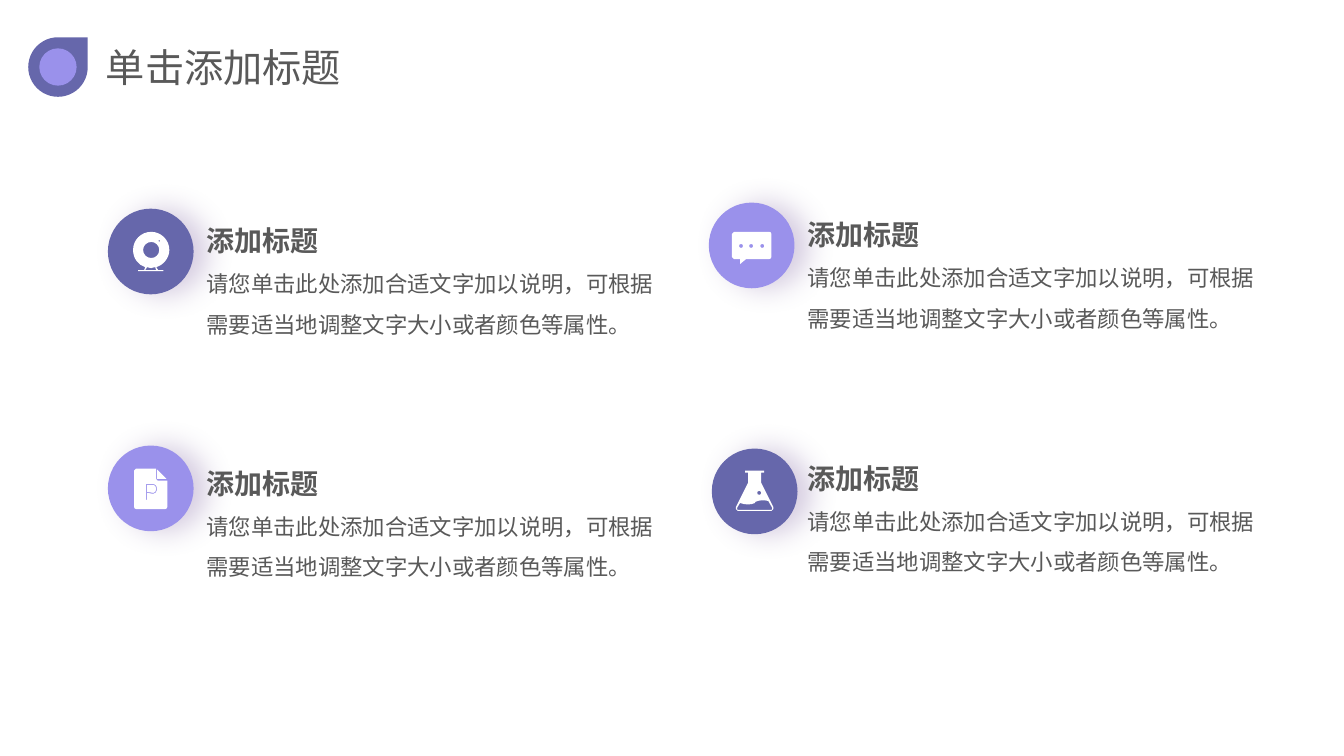
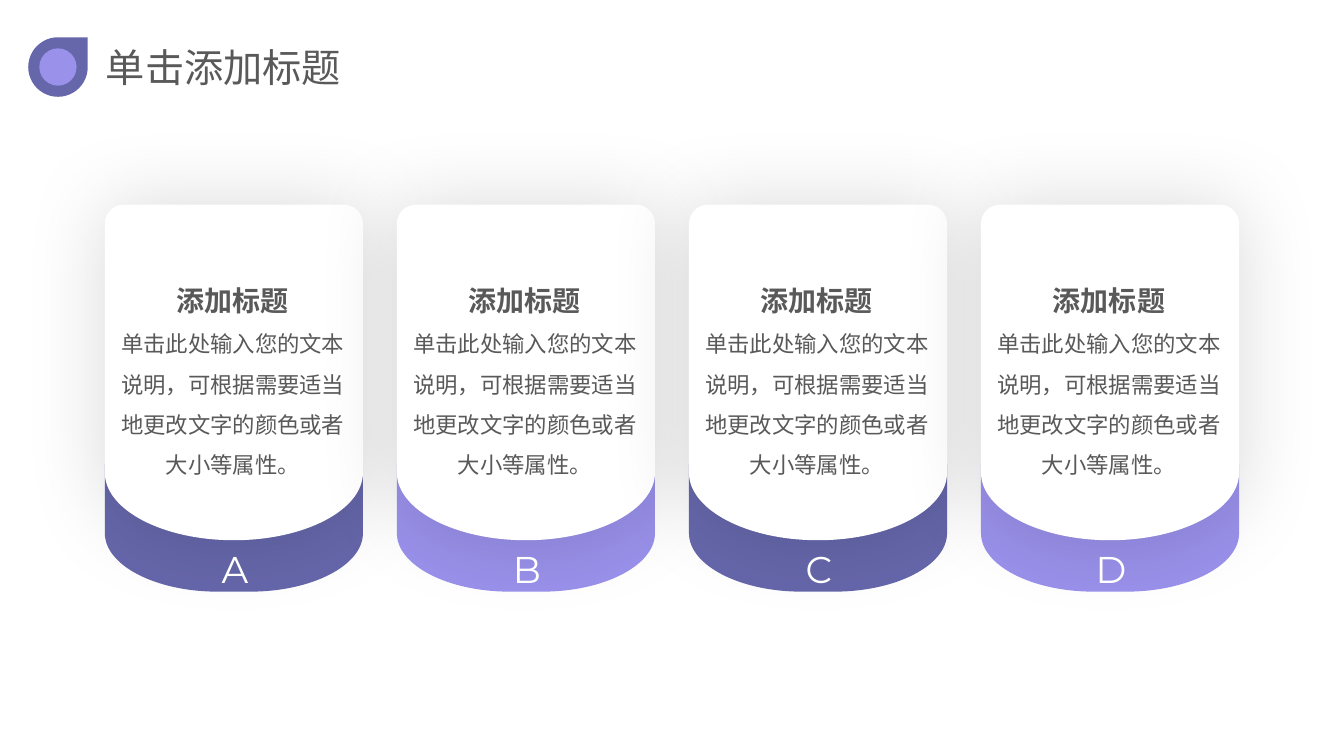
import dataclasses
import math

import lxml.etree
import pptx
import pptx.dml.color
import pptx.enum.shapes
import pptx.enum.text
import pptx.oxml.ns
import pptx.util

Inches = pptx.util.Inches
qn = pptx.oxml.ns.qn
PRESET = pptx.enum.shapes.MSO_SHAPE
ANCHOR = pptx.enum.text.MSO_ANCHOR
ALIGN = pptx.enum.text.PP_ALIGN


@dataclasses.dataclass(frozen=True)
class Theme:
    indigo: str = "6667AB"
    lilac: str = "9A91EB"
    white: str = "FFFFFF"
    ink: str = "595959"
    text_font: str = "Noto Sans CJK SC"
    letter_font: str = "Montserrat"
    title_size: float = 28
    letter_size: float = 26.6
    heading_size: float = 20
    body_size: float = 16
    line_spacing: float = 1.5
    disc_shadow: tuple = ("8064A2", 32, 20, 10)
    card_shadow: tuple = ("000000", 15, 60, 0)


theme = Theme()


def arc(cx, cy, rx, ry, start=0, end=360):
    quarters = round((end - start) / 90)
    bend = 0.55
    segments = []
    for quarter in range(quarters):
        angle = math.radians(start + 90 * quarter)
        c, s = math.cos(angle), math.sin(angle)
        unit = [(c, s), (c - bend * s, s + bend * c), (bend * c - s, bend * s + c), (-s, c)]
        first, *curve = [(cx + rx * x, cy + ry * y) for x, y in unit]
        if not segments:
            segments.append(first)
        segments.append(tuple(curve))
    return segments


def paint(shape, color, shadow=None):
    shape.fill.solid()
    shape.fill.fore_color.rgb = pptx.dml.color.RGBColor.from_string(color)
    shape.line.fill.background()
    shape.shadow.inherit = False
    if shadow:
        tint, opacity, blur, distance = shadow
        effects = shape._element.spPr.find(qn("a:effectLst"))
        outer = lxml.etree.SubElement(
            effects, qn("a:outerShdw"), blurRad=str(pptx.util.Pt(blur)),
            dist=str(pptx.util.Pt(distance)), dir="0", algn="ctr", rotWithShape="0")
        tone = lxml.etree.SubElement(outer, qn("a:srgbClr"), val=tint)
        lxml.etree.SubElement(tone, qn("a:alpha"), val=str(opacity * 1000))


deck = pptx.Presentation()
deck.slide_width, deck.slide_height = Inches(13.33), Inches(7.5)
title_only = deck.slide_layouts[5]
points_slide, cards_slide = [deck.slides.add_slide(title_only) for _ in range(2)]
styled_paragraphs = []

for slide in deck.slides:
    for preset, left, top, size, color in [
        (PRESET.TEAR, 0.28, 0.37, 0.59, theme.indigo),
        (PRESET.OVAL, 0.39, 0.48, 0.37, theme.lilac),
    ]:
        paint(slide.shapes.add_shape(
            preset, Inches(left), Inches(top), Inches(size), Inches(size)), color)
    title = slide.shapes.title
    title.left, title.top = Inches(0.95), Inches(0.38)
    title.width, title.height = Inches(2.79), Inches(0.57)
    title.text_frame.text = "单击添加标题"
    title.text_frame.vertical_anchor = ANCHOR.TOP
    title.text_frame.auto_size = pptx.enum.text.MSO_AUTO_SIZE.SHAPE_TO_FIT_TEXT
    heading = title.text_frame.paragraphs[0]
    heading.alignment = ALIGN.LEFT
    styled_paragraphs.append((heading, theme.title_size, False, theme.text_font, theme.ink))

webcam = [
    arc(1.5, 2.48, 0.18, 0.18, 270, 360)
    + [((1.68, 2.56), (1.62, 2.63), (1.55, 2.65)), (1.57, 2.68), (1.62, 2.68),
       (1.62, 2.69), (1.37, 2.69), (1.37, 2.68), (1.43, 2.68), (1.44, 2.65),
       ((1.37, 2.63), (1.32, 2.56), (1.32, 2.48)),
       ((1.32, 2.38), (1.4, 2.3), (1.5, 2.3))],
    [(1.46, 2.65), (1.44, 2.68), (1.55, 2.68), (1.54, 2.65),
     ((1.52, 2.65), (1.51, 2.66), (1.5, 2.66)), ((1.48, 2.66), (1.47, 2.65), (1.46, 2.65))],
    arc(1.5, 2.48, 0.08, 0.08),
    arc(1.58, 2.39, 0.01, 0.01),
]
chat = [
    arc(7.28, 2.32, 0.02, 0.02, 180, 270) + arc(7.63, 2.32, 0.02, 0.02, 270, 360)
    + arc(7.63, 2.55, 0.02, 0.02, 0, 90) + [(7.4, 2.57), (7.34, 2.62), (7.34, 2.57)]
    + arc(7.28, 2.55, 0.02, 0.02, 90, 180),
] + [arc(x, 2.44, 0.02, 0.02) for x in (7.35, 7.45, 7.56)]
document = [
    [(1.55, 4.65), (1.55, 4.75), ((1.55, 4.76), (1.56, 4.77), (1.57, 4.77)), (1.66, 4.77)]
    + arc(1.64, 5.03, 0.02, 0.02, 0, 90) + arc(1.35, 5.03, 0.02, 0.02, 90, 180)
    + arc(1.35, 4.67, 0.02, 0.02, 180, 270),
    [(1.45, 4.8)] + arc(1.52, 4.85, 0.04, 0.05, -90, 90)
    + [(1.46, 4.89), (1.46, 4.96), (1.45, 4.96)],
    [(1.46, 4.81)] + arc(1.52, 4.85, 0.03, 0.04, -90, 90) + [(1.46, 4.88)],
    [(1.56, 4.66), (1.65, 4.75), (1.56, 4.75)],
]
flask = [
    [(7.39, 4.67), (7.58, 4.67), (7.58, 4.69), (7.55, 4.69), (7.55, 4.77),
     ((7.55, 4.78), (7.55, 4.78), (7.55, 4.79)), (7.67, 5.03)]
    + arc(7.65, 5.05, 0.02, 0.02, 0, 90) + arc(7.32, 5.05, 0.02, 0.02, 90, 180)
    + [(7.3, 5.03), (7.42, 4.79), ((7.42, 4.78), (7.42, 4.78), (7.42, 4.77)),
       (7.42, 4.69), (7.39, 4.69)],
    [(7.49, 4.98), (7.49, 4.99), ((7.45, 5.01), (7.39, 5.01), (7.34, 4.99)), (7.31, 5.04),
     ((7.31, 5.05), (7.31, 5.06), (7.32, 5.06)), (7.65, 5.06),
     ((7.66, 5.06), (7.66, 5.05), (7.66, 5.04)), (7.62, 4.97),
     ((7.58, 4.96), (7.53, 4.96), (7.49, 4.98))],
    arc(7.53, 4.89, 0.02, 0.02),
]

point_text = [
    ("添加标题", theme.heading_size, True, theme.text_font, theme.ink),
    ("请您单击此处添加合适文字加以说明，可根据需要适当地调整文字大小或者颜色等属性。",
     theme.body_size, False, theme.text_font, theme.ink),
]
card_text = [
    point_text[0],
    ("单击此处输入您的文本说明，可根据需要适当地更改文字的颜色或者大小等属性。",
     theme.body_size, False, theme.text_font, theme.ink),
]
outlines = []
captions = []

for disc_left, disc_top, text_left, text_top, color, icon in [
    (1.07, 2.07, 2.05, 2.05, theme.indigo, webcam),
    (7.03, 2.01, 8.01, 1.99, theme.lilac, chat),
    (1.07, 4.42, 2.05, 4.46, theme.lilac, document),
    (7.06, 4.45, 8.01, 4.41, theme.indigo, flask),
]:
    disc = points_slide.shapes.add_shape(
        PRESET.OVAL, Inches(disc_left), Inches(disc_top), Inches(0.85), Inches(0.85))
    paint(disc, color, theme.disc_shadow)
    outlines.append((points_slide, icon, theme.white, None))
    captions.append((points_slide, (text_left, text_top, 4.54, 1.27), 0,
                     ANCHOR.TOP, ALIGN.LEFT, theme.line_spacing, point_text))

card_width = 2.56
card_pitch = (9.73 - 1.04) / 3
for index, letter in enumerate("ABCD"):
    left = 1.04 + index * card_pitch
    right = left + card_width
    middle = left + card_width / 2
    base = ([(left, 4.6), (right, 4.6)]
            + arc(right - 1.12, 5.29, 1.12, 0.58, 0, 90)
            + arc(left + 1.12, 5.29, 1.12, 0.58, 90, 180))
    card = (arc(left + 0.19, 2.22, 0.19, 0.19, 180, 270)
            + arc(right - 0.19, 2.22, 0.19, 0.19, 270, 360)
            + arc(middle, 4.69, card_width / 2, 0.67, 0, 180))
    outlines += [
        (cards_slide, [base], (theme.indigo, theme.lilac)[index % 2], None),
        (cards_slide, [card], theme.white, theme.card_shadow),
    ]
    letter_text = [(letter, theme.letter_size, False, theme.letter_font, theme.white)]
    captions += [
        (cards_slide, (middle - 0.68, 5.44, 1.38, 0.41), 0.13,
         ANCHOR.MIDDLE, ALIGN.CENTER, 1.0, letter_text),
        (cards_slide, (middle - 1.16, 2.63, 2.3, 2.13), 0.03,
         ANCHOR.MIDDLE, ALIGN.CENTER, theme.line_spacing, card_text),
    ]

for slide, contours, color, shadow in outlines:
    builder = None
    segment_lengths = []
    for contour in contours:
        segments = [part if isinstance(part[0], tuple) else (part,) for part in contour]
        segment_lengths += [len(segment) for segment in segments[1:]]
        start, *rest = [(Inches(x), Inches(y)) for segment in segments for x, y in segment]
        if builder is None:
            builder = slide.shapes.build_freeform(*start)
        else:
            builder.move_to(*start)
        builder.add_line_segments(rest, close=True)
    outline = builder.convert_to_shape()
    steps = iter(list(outline._element.iter(qn("a:lnTo"))))
    for length in segment_lengths:
        step = next(steps)
        if length == 3:
            step.tag = qn("a:cubicBezTo")
            for _ in range(2):
                control = next(steps)
                step.append(control[0])
                control.getparent().remove(control)
    paint(outline, color, shadow)

for slide, box, inset, anchor, alignment, spacing, lines in captions:
    frame = slide.shapes.add_textbox(*map(Inches, box)).text_frame
    frame.word_wrap = True
    frame.vertical_anchor = anchor
    frame.margin_left = frame.margin_right = Inches(inset)
    frame.margin_top = frame.margin_bottom = Inches(inset)
    frame.text = "\n".join(line[0] for line in lines)
    for paragraph, (_, *style) in zip(frame.paragraphs, lines):
        paragraph.alignment = alignment
        paragraph.line_spacing = spacing
        styled_paragraphs.append((paragraph, *style))

for paragraph, size, bold, typeface, color in styled_paragraphs:
    font = paragraph.font
    font.size = pptx.util.Pt(size)
    font.bold = bold
    font.name = typeface
    font.color.rgb = pptx.dml.color.RGBColor.from_string(color)
    defaults = paragraph._p.pPr.find(qn("a:defRPr"))
    lxml.etree.SubElement(defaults, qn("a:ea"), typeface=typeface)

deck.save("out.pptx")
